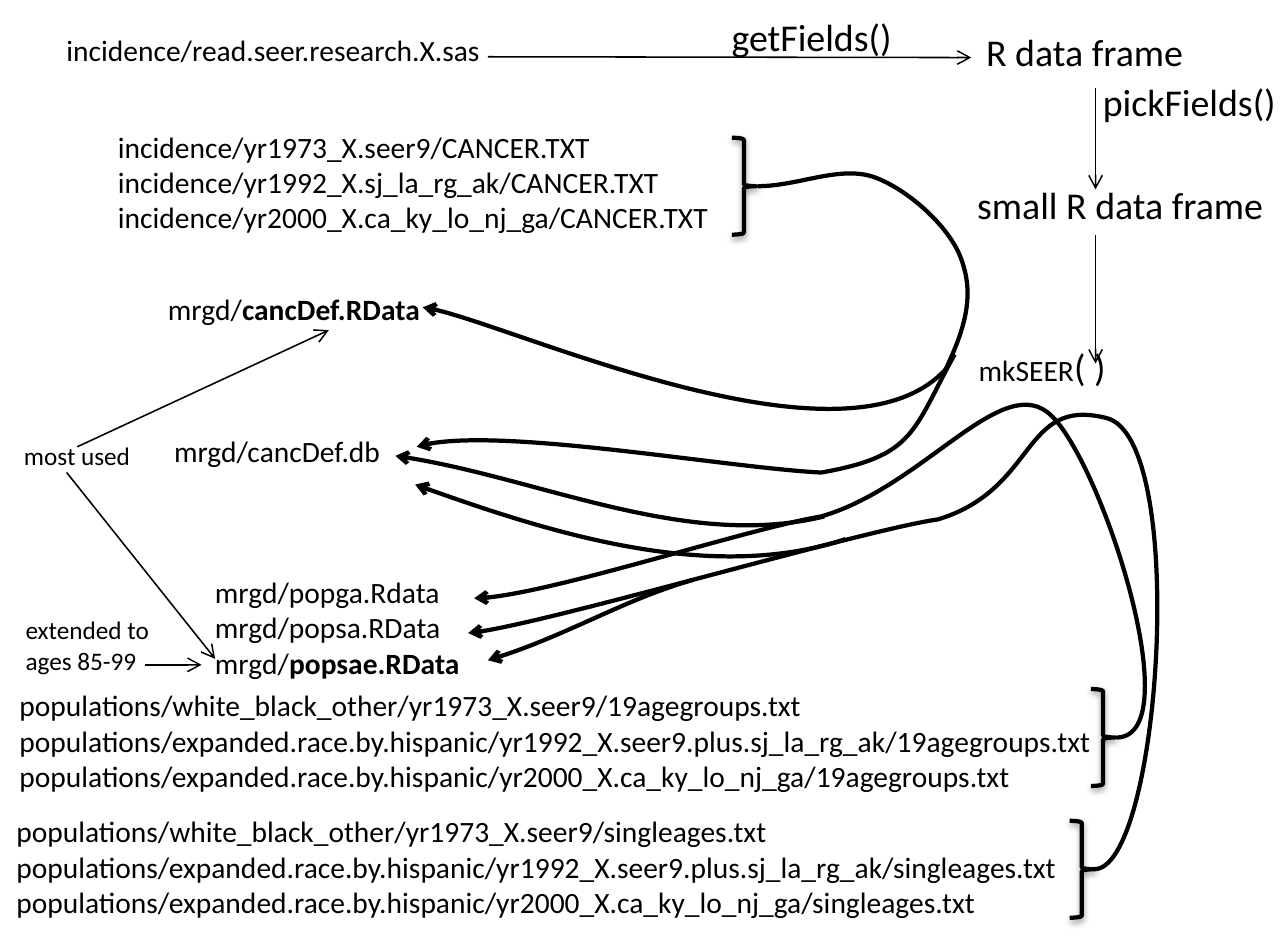
from dataclasses import dataclass

from lxml import etree
from pptx import Presentation
from pptx import util as u
from pptx.dml.color import RGBColor
from pptx.enum import shapes, text
from pptx.oxml.ns import qn


@dataclass(frozen=True)
class Theme:
    font: str = "Calibri"
    ink: RGBColor = RGBColor(0, 0, 0)
    note: int = 12
    file: int = 14
    step: int = 18
    thin: float = 0.75
    thick: float = 2
    shadow_blur: float = 3.1
    shadow_distance: float = 1.6
    shadow_alpha: int = 38000


class FlowSlide:
    columns, rows = 85, 62

    def __init__(self, presentation, theme):
        self.theme = theme
        self.slide = presentation.slides.add_slide(presentation.slide_layouts[6])
        self.column = presentation.slide_width / self.columns
        self.row = presentation.slide_height / self.rows

    def point(self, column, row):
        return round(column * self.column), round(row * self.row)

    def text(self, left, top, width, height, lines, size, wrap=False):
        box = self.slide.shapes.add_textbox(*self.point(left, top), *self.point(width, height))
        frame = box.text_frame
        frame.word_wrap = wrap
        frame.auto_size = text.MSO_AUTO_SIZE.SHAPE_TO_FIT_TEXT
        frame.text = "\n".join(lines)
        for paragraph in frame.paragraphs:
            for run in paragraph.runs:
                self.format(run, size)
        return frame.paragraphs[-1]

    def format(self, run, size, bold=False):
        run.font.name = self.theme.font
        run.font.size = u.Pt(size)
        run.font.bold = bold
        run.font.color.rgb = self.theme.ink

    def add_run(self, paragraph, words, size, bold=False):
        run = paragraph.add_run()
        run.text = words
        self.format(run, size, bold)

    def stroke(self, shape, width, arrow=True):
        shape.line.color.rgb = self.theme.ink
        shape.line.width = u.Pt(width)
        if arrow:
            etree.SubElement(shape.line._get_or_add_ln(), qn("a:tailEnd"), type="arrow")

    def arrow(self, start, end):
        connector = self.slide.shapes.add_connector(
            shapes.MSO_CONNECTOR.STRAIGHT, *self.point(*start), *self.point(*end))
        self.stroke(connector, self.theme.thin)
        etree.SubElement(connector._element.spPr, qn("a:effectLst"))

    def curve(self, start, *controls):
        builder = self.slide.shapes.build_freeform(*self.point(*start))
        builder.add_line_segments([self.point(*control) for control in controls], close=False)
        shape = builder.convert_to_shape()
        outline = shape._element.find(".//" + qn("a:path"))
        segments = outline.findall(qn("a:lnTo"))
        for first in range(0, len(segments), 3):
            bezier = etree.SubElement(outline, qn("a:cubicBezTo"))
            for segment in segments[first:first + 3]:
                bezier.append(segment[0])
                outline.remove(segment)
        shape.fill.background()
        shape.shadow.inherit = False
        self.stroke(shape, self.theme.thick)

    def brace(self, left, top):
        shape = self.slide.shapes.add_shape(
            shapes.MSO_SHAPE.RIGHT_BRACE, *self.point(left, top), *self.point(1.6, 6.4))
        shape.fill.background()
        self.stroke(shape, self.theme.thick, arrow=False)
        shape.shadow.inherit = False
        effects = shape._element.spPr.find(qn("a:effectLst"))
        shadow = etree.SubElement(
            effects, qn("a:outerShdw"), blurRad=str(u.Pt(self.theme.shadow_blur)),
            dist=str(u.Pt(self.theme.shadow_distance)), dir="5400000", rotWithShape="0")
        color = etree.SubElement(shadow, qn("a:srgbClr"), val=str(self.theme.ink))
        etree.SubElement(color, qn("a:alpha"), val=str(self.theme.shadow_alpha))


def main():
    presentation = Presentation()
    presentation.slide_width, presentation.slide_height = u.Inches(8.5), u.Inches(6.2)
    theme = Theme()
    flow = FlowSlide(presentation, theme)

    flow.text(6.8, 8, 41.5, 8.1, [
        "incidence/yr1973_X.seer9/CANCER.TXT",
        "incidence/yr1992_X.sj_la_rg_ak/CANCER.TXT",
        "incidence/yr2000_X.ca_ky_lo_nj_ga/CANCER.TXT"], theme.file)
    flow.text(3.4, 1.6, 29.8, 3.4, ["incidence/read.seer.research.X.sas"], theme.file)
    cancer_data = flow.text(10.1, 18.7, 21.5, 3.4, ["mrgd/"], theme.file)
    flow.add_run(cancer_data, "cancDef.RData", theme.file, bold=True)
    flow.text(10.5, 28.1, 21.5, 3.4, ["mrgd/cancDef.db"], theme.file)
    population_data = flow.text(13.2, 37.4, 21.5, 8.1, [
        "mrgd/popga.Rdata", "mrgd/popsa.RData", "mrgd/"], theme.file)
    flow.add_run(population_data, "popsae.RData", theme.file, bold=True)

    for left, top, width, step in (
            (47.3, 0.4, 12.7, "getFields()"),
            (64.1, 1.4, 15.3, "R data frame"),
            (71.8, 4.7, 13.6, "pickFields()"),
            (63.5, 11.5, 21.2, "small R data frame")):
        flow.text(left, top, width, 4, [step], theme.step)
    make_seer = flow.text(63.6, 22.2, 11, 4, ["mkSEER"], theme.file)
    flow.add_run(make_seer, "( )", theme.step)

    for left, top, width, ages in ((0.3, 44.9, 73.7, "19agegroups"), (0.1, 53.2, 71.6, "singleages")):
        flow.text(left, top, width, 8.1, [
            f"populations/{source}/{ages}.txt" for source in (
                "white_black_other/yr1973_X.seer9",
                "expanded.race.by.hispanic/yr1992_X.seer9.plus.sj_la_rg_ak",
                "expanded.race.by.hispanic/yr2000_X.ca_ky_lo_nj_ga")], theme.file)

    flow.text(0.7, 40.1, 12.8, 5, ["extended to ages 85-99"], theme.note, wrap=True)
    flow.text(0.6, 28.6, 12.8, 3, ["most used"], theme.note, wrap=True)

    for start, end in (
            ((32.2, 3.75), (64.1, 3.8)),
            ((72.3, 5.8), (72.3, 12.5)),
            ((72.3, 15.5), (72.3, 24)),
            ((9.6, 43.9), (13.3, 43.9)),
            ((5.1, 29.5), (21.7, 21.8)),
            ((4.4, 31.2), (14.2, 43.5))):
        flow.arrow(start, end)

    for points in (
            ((50, 12.3), (52.7, 12.3), (55.4, 10.9), (57.7, 11.7),
             (59.9, 12.5), (62.6, 14.9), (63.4, 17),
             (64.2, 19.1), (64, 21.1), (62.4, 24.4),
             (55.8, 31.6), (32.4, 20.8), (27.9, 20.3)),
            ((63, 23.4), (60.2, 28.5), (60.4, 30.1), (54.2, 31.2),
             (48.1, 30.9), (32.1, 28), (27.5, 29.5)),
            ((73.7, 48.7), (78.7, 48.6), (72.4, 29.6), (69.1, 27.2),
             (65.9, 24.8), (60.8, 32.2), (54.2, 34.1),
             (49.4, 34.9), (35.5, 39.5), (31.3, 39.5)),
            ((54.4, 34.1), (45.4, 36.3), (35.3, 31.4), (26.1, 30.1)),
            ((72.2, 57.4), (76.6, 57.5), (78.5, 28.9), (73, 27.6),
             (67.4, 26.2), (68.5, 32.3), (61.9, 34.3),
             (57, 35), (35, 41.5), (30.9, 41.8)),
            ((55.8, 35.6), (46.8, 38.6), (35.2, 34.8), (27.4, 32)),
            ((45.7, 38.3), (41.2, 39.6), (37.2, 42.1), (32.2, 43.6))):
        flow.curve(*points)

    for left, top in ((72, 45.5), (70.6, 54.2), (48.3, 9.1)):
        flow.brace(left, top)

    presentation.save("out.pptx")


if __name__ == "__main__":
    main()
